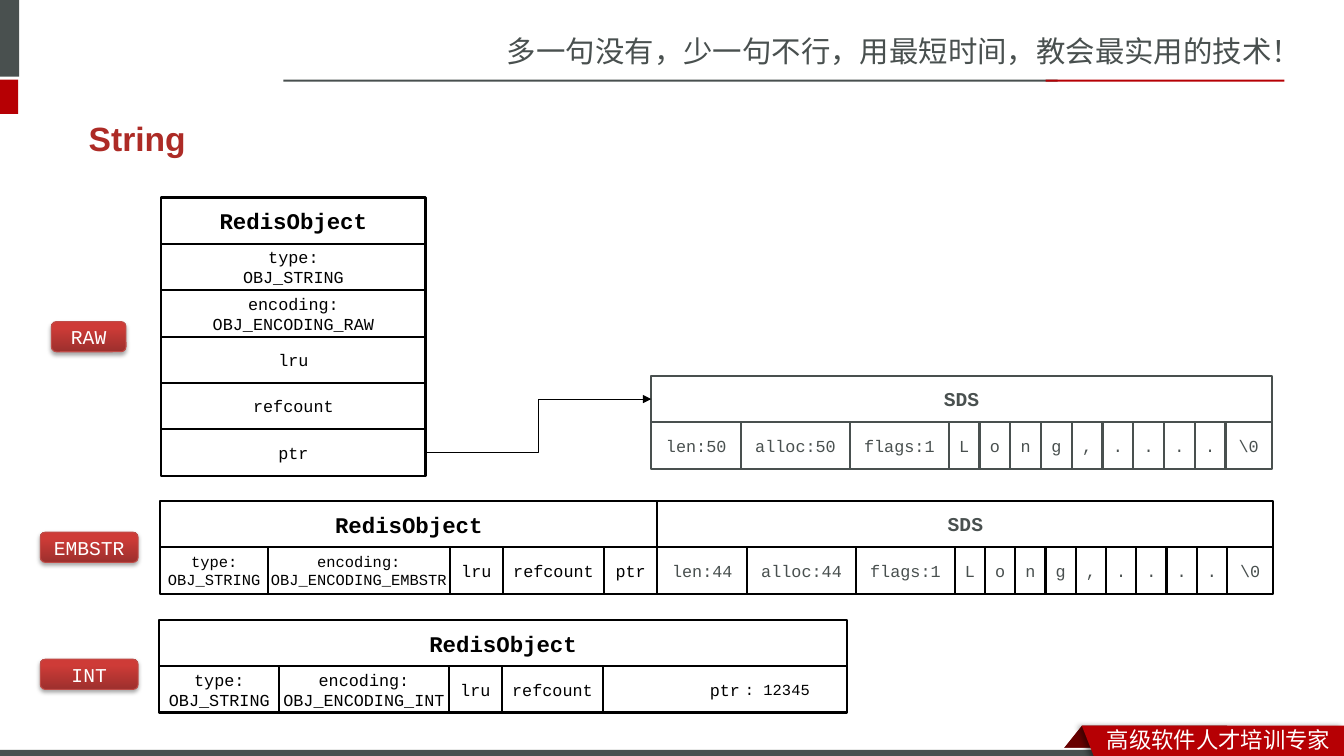
from lxml.etree import SubElement
from pptx import Presentation
from pptx.dml.color import RGBColor
from pptx.enum.shapes import MSO_CONNECTOR, MSO_SHAPE
from pptx.enum.text import MSO_ANCHOR, PP_ALIGN
from pptx.oxml.ns import qn
from pptx.util import Inches, Pt

COLORS = {
    "black": "000000", "white": "FFFFFF", "gray": "49504F", "red": "B60004",
    "dark red": "680000", "title": "AD2B26", "label line": "BF4C48",
    "label bottom": "9C2F2D", "label top": "CE3B37",
}
CODE_FONT, CHINESE_FONT = "Courier New", "Noto Sans CJK SC"
CELL_HEIGHT = 0.46

TITLE = "String"
SLOGAN = "多一句没有，少一句不行，用最短时间，教会最实用的技术！"
RIBBON_TEXT = "高级软件人才培训专家"

# left, top, width, height, color
FRAME_BARS = [
    (-0.06, 0, 0.25, 0.76, "gray"),
    (-0.06, 0.79, 0.24, 0.34, "red"),
    (2.81, 0.79, 7.68, 0.02, "gray"),
    (10.37, 0.79, 2.37, 0.02, "red"),
    (0, 7.44, 10.99, 0.09, "gray"),
]
RIBBON_OUTLINE = [(10.73, 7.2), (13.33, 7.2), (13.33, 7.54), (10.86, 7.53)]

# text, left, top, width
LABELS = [("RAW", 0.51, 3.19, 0.74), ("EMBSTR", 0.4, 5.28, 0.97), ("INT", 0.4, 6.54, 0.97)]

RAW_FIELDS = ["RedisObject", "type:\nOBJ_STRING", "encoding:\nOBJ_ENCODING_RAW",
              "lru", "refcount", "ptr"]
# text, width, size
EMBSTR_FIELDS = [("type:\nOBJ_STRING", 1.07, 11), ("encoding:\nOBJ_ENCODING_EMBSTR", 1.8, 11),
                 ("lru", 0.53, 12), ("refcount", 1, 12), ("ptr", 0.53, 12)]
INT_FIELDS = [("type:\nOBJ_STRING", 1.19, 12), ("encoding:\nOBJ_ENCODING_INT", 1.68, 12),
              ("lru", 0.53, 12), ("refcount", 1, 12), ("ptr", 2.42, 12)]
INT_VALUE = ": 12345"
SDS_CHARACTERS = "Long,...."


def rgb(name):
    return RGBColor.from_string(COLORS[name])


def set_text(shape, text, size, color, font=CODE_FONT, bold=False, align=PP_ALIGN.LEFT):
    frame = shape.text_frame
    frame.text = text
    for paragraph in frame.paragraphs:
        paragraph.alignment = align
        paragraph.font.size = Pt(size)
        paragraph.font.name = font
        paragraph.font.bold = bold
        paragraph.font.color.rgb = rgb(color)
        if font == CHINESE_FONT:
            properties = paragraph._p.pPr.find(qn("a:defRPr"))
            SubElement(properties, qn("a:ea"), typeface=font)


def add_text(slide, text, left, top, width, height, size, color, font, wrap=True):
    box = slide.shapes.add_textbox(Inches(left), Inches(top), Inches(width), Inches(height))
    box.text_frame.word_wrap = wrap
    set_text(box, text, size, color, font)


def paint(shape, fill, line=None):
    shape.shadow.inherit = False
    shape.fill.solid()
    shape.fill.fore_color.rgb = rgb(fill)
    if line:
        shape.line.color.rgb = rgb(line)
        shape.line.width = Pt(1.5)
    else:
        shape.line.fill.background()


def add_shape(slide, kind, left, top, width, height):
    return slide.shapes.add_shape(kind, Inches(left), Inches(top), Inches(width), Inches(height))


def add_shadow(shape, opacity, blur, distance, angle):
    shape.shadow.inherit = False
    effects = shape._element.spPr.find(qn("a:effectLst"))
    shadow = SubElement(effects, qn("a:outerShdw"), blurRad=str(Pt(blur)), dist=str(Pt(distance)),
                        dir=str(angle * 60000), rotWithShape="0")
    color = SubElement(shadow, qn("a:srgbClr"), val=COLORS["black"])
    SubElement(color, qn("a:alpha"), val=str(opacity * 1000))


def add_cell(slide, text, left, top, width, size=12, color="black", line="black", bold=False):
    cell = add_shape(slide, MSO_SHAPE.RECTANGLE, left, top, width, CELL_HEIGHT)
    paint(cell, "white", line)
    cell.text_frame.margin_left = cell.text_frame.margin_right = 0
    cell.text_frame.vertical_anchor = MSO_ANCHOR.MIDDLE
    set_text(cell, text, size, color, bold=bold, align=PP_ALIGN.CENTER)
    return cell


def add_block(slide, heading, heading_size, fields, left, top, color="black", line="black"):
    """Draw a heading cell over a row of field cells; return the heading."""
    width = sum(field_width for _, field_width, _ in fields)
    header = add_cell(slide, heading, left, top, width, heading_size, color, line, bold=True)
    for text, field_width, size in fields:
        add_cell(slide, text, left, top + CELL_HEIGHT, field_width, size, color, line)
        left += field_width
    return header


def sds_fields(length, character_width):
    fields = [(f"len:{length}", 0.89, 12), (f"alloc:{length}", 1.08, 12), ("flags:1", 0.98, 12)]
    fields += [(character, character_width, 12) for character in SDS_CHARACTERS]
    return fields + [("\\0", 0.46, 12)]


def add_frame(slide):
    fold = add_shape(slide, MSO_SHAPE.PARALLELOGRAM, 10.49, 7.2, 1.68, 0.3)
    fold.adjustments[0] = 0.8
    paint(fold, "dark red")
    paint(add_shape(slide, MSO_SHAPE.RECTANGLE, 0, 7.42, 13.33, 0.11), "white")
    add_text(slide, SLOGAN, 4.93, 0.28, 8.41, 0.47, 21, "gray", CHINESE_FONT)
    for left, top, width, height, color in FRAME_BARS:
        paint(add_shape(slide, MSO_SHAPE.RECTANGLE, left, top, width, height), color)
    points = [(Inches(x), Inches(y)) for x, y in RIBBON_OUTLINE]
    builder = slide.shapes.build_freeform(*points[0])
    builder.add_line_segments(points[1:], close=True)
    ribbon = builder.convert_to_shape()
    paint(ribbon, "red")
    add_shadow(ribbon, 40, 4, 3, 180)
    add_text(slide, RIBBON_TEXT, 10.88, 7.15, 2.45, 0.37, 16, "white", CHINESE_FONT)


def add_title(slide):
    title = slide.shapes.title
    title.left, title.top = Inches(0.78), Inches(1.16)
    title.width, title.height = Inches(11.7), Inches(0.42)
    title.text_frame.vertical_anchor = MSO_ANCHOR.MIDDLE
    set_text(title, TITLE, 24, "title", "Arial", bold=True)


def add_label(slide, text, left, top, width):
    label = add_shape(slide, MSO_SHAPE.ROUNDED_RECTANGLE, left, top, width, 0.3)
    label.fill.gradient()
    label.fill.gradient_angle = 90
    stops = label.fill.gradient_stops
    for stop, position, color in zip(stops, (0, 0.8), ("label bottom", "label top")):
        stop.position = position
        stop.color.rgb = rgb(color)
    label.line.color.rgb = rgb("label line")
    label.line.width = Pt(0.75)
    add_shadow(label, 35, 3.1, 1.8, 90)
    label.text_frame.vertical_anchor = MSO_ANCHOR.MIDDLE
    set_text(label, text, 14, "white", align=PP_ALIGN.CENTER)


def add_pointer(slide, source, target):
    """Draw an elbow arrow from the right of source to the left of target."""
    pointer = slide.shapes.add_connector(MSO_CONNECTOR.ELBOW, 0, 0, 0, 0)
    pointer.begin_connect(source, 3)
    pointer.end_connect(target, 1)
    pointer.line.color.rgb = rgb("black")
    pointer.line.width = Pt(0.75)
    SubElement(pointer.line._get_or_add_ln(), qn("a:tailEnd"), type="triangle")
    SubElement(pointer._element.spPr, qn("a:effectLst"))


def main():
    presentation = Presentation()
    presentation.slide_width, presentation.slide_height = Inches(13.33), Inches(7.5)
    slide = presentation.slides.add_slide(presentation.slide_layouts[5])
    add_frame(slide)
    add_title(slide)

    add_block(slide, "RedisObject", 16, INT_FIELDS, 1.58, 6.15)
    add_text(slide, INT_VALUE, 7.29, 6.7, 0.85, 0.29, 11, "black", CODE_FONT, wrap=False)

    add_block(slide, "RedisObject", 16, EMBSTR_FIELDS, 1.59, 4.97)
    add_block(slide, "SDS", 14, sds_fields(44, 0.3), 6.52, 4.97, "gray")

    for row, text in enumerate(RAW_FIELDS):
        is_heading = row == 0
        raw_cell = add_cell(slide, text, 1.6, 1.96 + row * CELL_HEIGHT, 2.62,
                            16 if is_heading else 12, bold=is_heading)
    sds_header = add_block(slide, "SDS", 14, sds_fields(50, 0.305), 6.46, 3.73, "gray", "gray")
    add_pointer(slide, raw_cell, sds_header)

    for label in LABELS:
        add_label(slide, *label)
    presentation.save("out.pptx")


if __name__ == "__main__":
    main()
